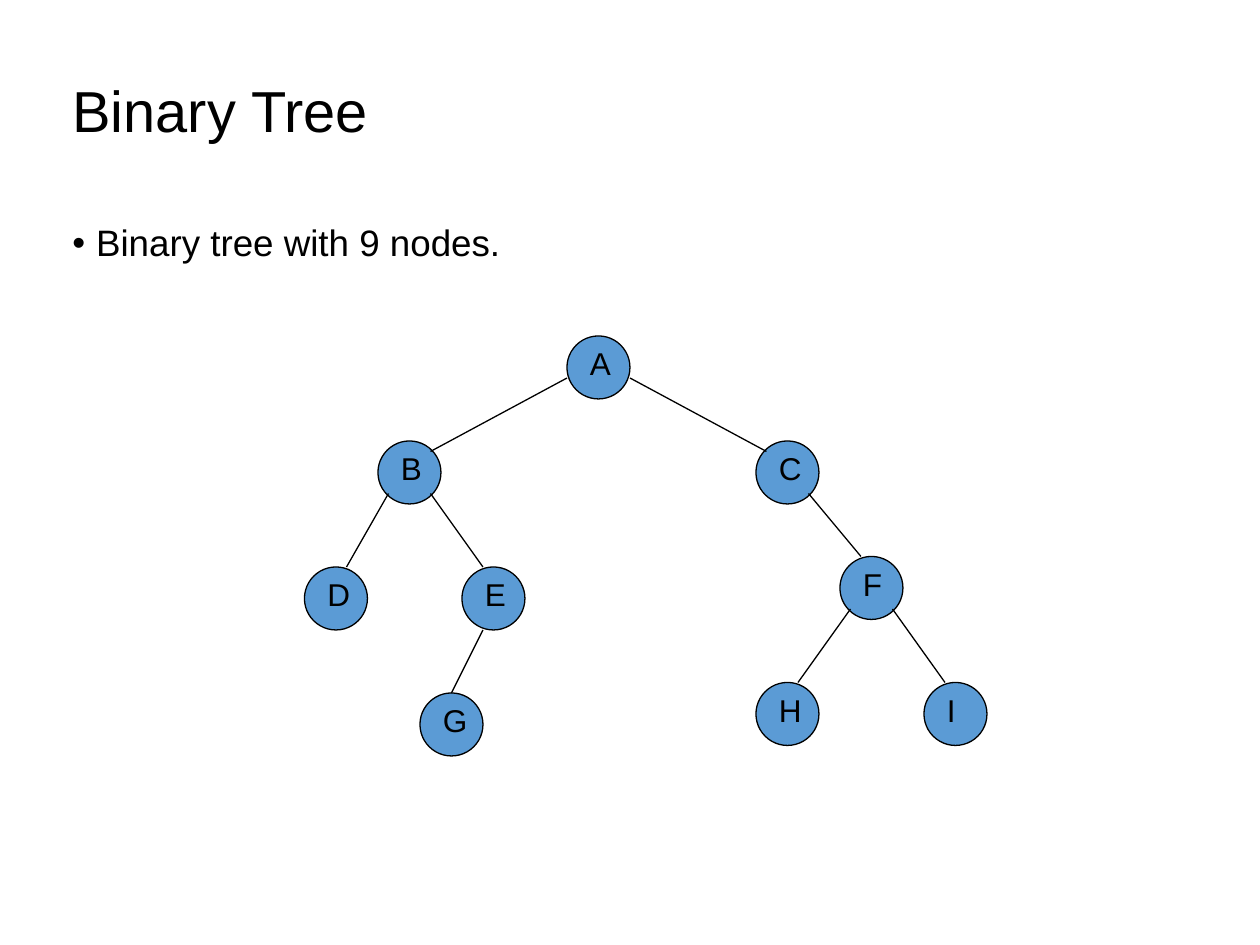
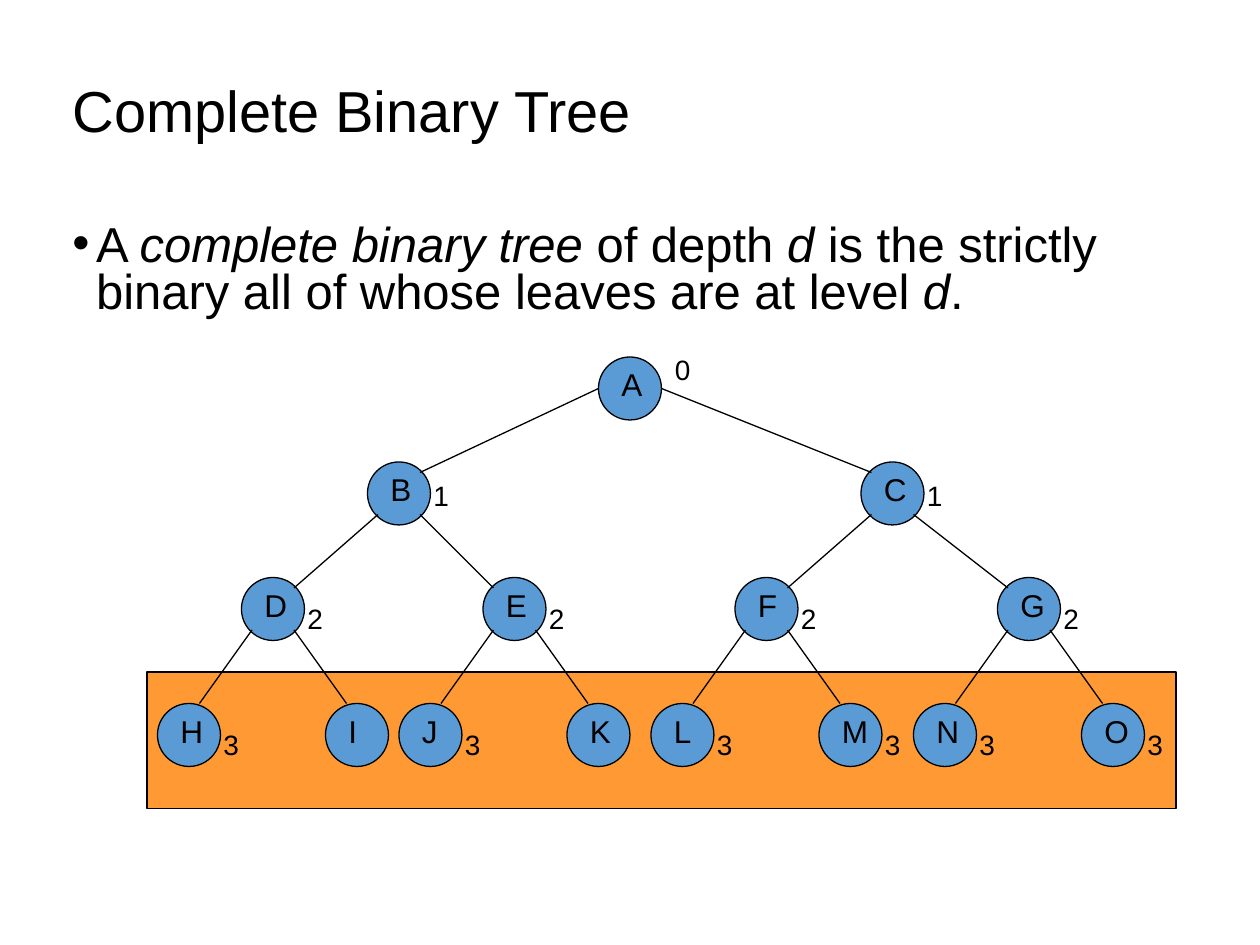
from lxml import etree
from pptx import Presentation
from pptx.dml.color import RGBColor
from pptx.enum.shapes import MSO_CONNECTOR, MSO_SHAPE
from pptx.enum.text import MSO_ANCHOR, MSO_AUTO_SIZE, PP_ALIGN
from pptx.oxml.ns import qn
from pptx.util import Pt

STRAIGHT = MSO_CONNECTOR.STRAIGHT
OVAL, RECTANGLE = MSO_SHAPE.OVAL, MSO_SHAPE.RECTANGLE
MIDDLE, LEFT = MSO_ANCHOR.MIDDLE, PP_ALIGN.LEFT
FIXED, GROW = MSO_AUTO_SIZE.NONE, MSO_AUTO_SIZE.SHAPE_TO_FIT_TEXT

BLACK = RGBColor(0x00, 0x00, 0x00)
BLUE = RGBColor(0x5B, 0x9B, 0xD5)
ORANGE = RGBColor(0xFF, 0x99, 0x33)
FONT = "Arial"
LINE_WIDTH = Pt(0.75)

# Trees are laid out on a grid of 6 points; a node is 6 steps wide.
STEP = 6
NODE = 6 * STEP
WIDE_LETTERS = "GIKMO"

# rows: top, letters, lefts
# edges: start offset in the parent, end offset in the child, parent-child pairs
# statement: every second piece between asterisks is italic
TREES = [
    {
        "title": "Binary Tree",
        "statement": "Binary tree with 9 nodes.",
        "size": 21, "spacing": 0.9, "height": 42,
        "rows": [
            (32, "A", [54]),
            (42, "BC", [36, 72]),
            (54, "DE", [29, 44]),
            (53, "F", [80]),
            (66, "G", [40]),
            (65, "HI", [72, 88]),
        ],
        "edges": [
            ((0, 4), (5, 1), ["AB"]),
            ((6, 4), (1, 1), ["AC"]),
            ((1, 5), (4, 0), ["BD", "FH"]),
            ((5, 5), (2, 0), ["BE", "CF", "FI"]),
            ((2, 6), (3, 0), ["EG"]),
        ],
        "unnumbered": "ABCDEFGHI",
        "leaf_band": None,
    },
    {
        "title": "Complete Binary Tree",
        "statement": "A *complete binary tree* of depth *d* is the strictly "
                     "binary all of whose leaves are at level *d*.",
        "size": 28, "spacing": 0.8, "height": 66,
        "rows": [
            (34, "A", [57]),
            (44, "BC", [35, 82]),
            (55, "DEFG", [23, 46, 70, 95]),
            (67, "HIJKLMNO", [15, 31, 38, 54, 62, 78, 87, 103]),
        ],
        "edges": [
            ((0, 3), (5, 1), ["AB"]),
            ((6, 3), (1, 1), ["AC"]),
            ((1, 5), (5, 1), ["BD", "CF"]),
            ((5, 5), (1, 1), ["BE", "CG"]),
            ((1, 5), (4, 0), ["DH", "EJ", "FL", "GN"]),
            ((5, 5), (2, 0), ["DI", "EK", "FM", "GO"]),
        ],
        "unnumbered": "IK",
        "leaf_band": (84, 384, 588, 78),
    },
]
# Offset of the level number from its node, by level
NUMBER_OFFSETS = [(36.6, -6), (30.6, 6), (30.6, 10), (30.6, 10)]


def add_outlined(slide, preset, fill, left, top, width, height):
    shape = slide.shapes.add_shape(preset, Pt(left), Pt(top), Pt(width), Pt(height))
    shape.shadow.inherit = False
    shape.fill.solid()
    shape.fill.fore_color.rgb = fill
    shape.line.color.rgb = BLACK
    shape.line.width = LINE_WIDTH


def add_label(slide, text, size, wrap, left, top, width, height):
    box = slide.shapes.add_textbox(Pt(left), Pt(top), Pt(width), Pt(height))
    frame = box.text_frame
    frame.word_wrap = wrap
    frame.auto_size = GROW
    frame.text = text
    font = frame.paragraphs[0].runs[0].font
    font.name, font.size, font.color.rgb = FONT, Pt(size), BLACK


prs = Presentation()
prs.slide_width, prs.slide_height = Pt(720), Pt(540)

for tree in TREES:
    slide = prs.slides.add_slide(prs.slide_layouts[1])
    title, statement = slide.placeholders

    title.text_frame.text = tree["title"]
    title.text_frame.vertical_anchor = MIDDLE
    heading = title.text_frame.paragraphs[0]

    sentence = statement.text_frame.paragraphs[0]
    for index, piece in enumerate(tree["statement"].split("*")):
        run = sentence.add_run()
        run.text = piece
        run.font.italic = index % 2 == 1
    properties = sentence._p.get_or_add_pPr()
    properties.set("marL", str(Pt(13.5)))
    properties.set("indent", str(-Pt(13.5)))
    etree.SubElement(properties, qn("a:buChar")).set("char", "•")

    for holder, paragraph, top, height, size, spacing in [
        (title, heading, 28.8, 72, 33, 0.9),
        (statement, sentence, 126, tree["height"], tree["size"], tree["spacing"]),
    ]:
        holder.left, holder.top = Pt(36), Pt(top)
        holder.width, holder.height = Pt(648), Pt(height)
        frame = holder.text_frame
        frame.auto_size = FIXED
        frame.word_wrap = True
        frame.margin_left = frame.margin_right = Pt(5.4)
        frame.margin_top = frame.margin_bottom = Pt(2.7)
        paragraph.alignment = LEFT
        paragraph.line_spacing = spacing
        paragraph.space_before = Pt(0)
        for run in paragraph.runs:
            run.font.name, run.font.size = FONT, Pt(size)
            run.font.color.rgb = BLACK

    if tree["leaf_band"]:
        add_outlined(slide, RECTANGLE, ORANGE, *tree["leaf_band"])

    nodes = {}
    for level, (row_top, letters, lefts) in enumerate(tree["rows"]):
        for letter, column in zip(letters, lefts):
            nodes[letter] = column, row_top
            left, top = column * STEP, row_top * STEP
            add_outlined(slide, OVAL, BLUE, left, top, NODE, NODE)
            label_width = 30 if letter in WIDE_LETTERS else 24
            add_label(slide, letter, 18, True, left + 6, top + 1.2, label_width, 28.8)
            if letter not in tree["unnumbered"]:
                right, down = NUMBER_OFFSETS[level]
                add_label(slide, str(level), 16, False, left + right, top + down, 23, 26.6)

    for start, end, pairs in tree["edges"]:
        for parent, child in pairs:
            points = [
                Pt((corner + offset) * STEP)
                for node, offsets in ((parent, start), (child, end))
                for corner, offset in zip(nodes[node], offsets)
            ]
            edge = slide.shapes.add_connector(STRAIGHT, *points)
            edge.line.color.rgb = BLACK
            edge.line.width = LINE_WIDTH
            etree.SubElement(edge._element.spPr, qn("a:effectLst"))

prs.save("out.pptx")
